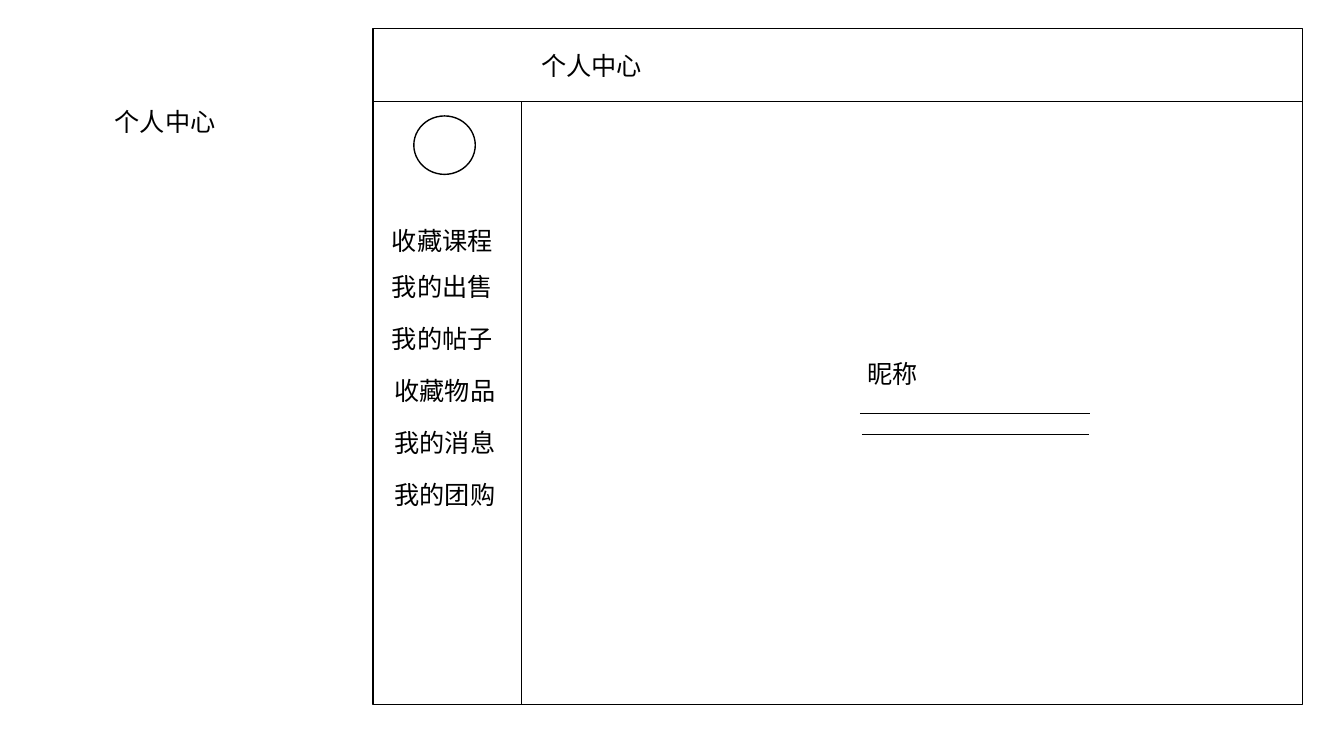
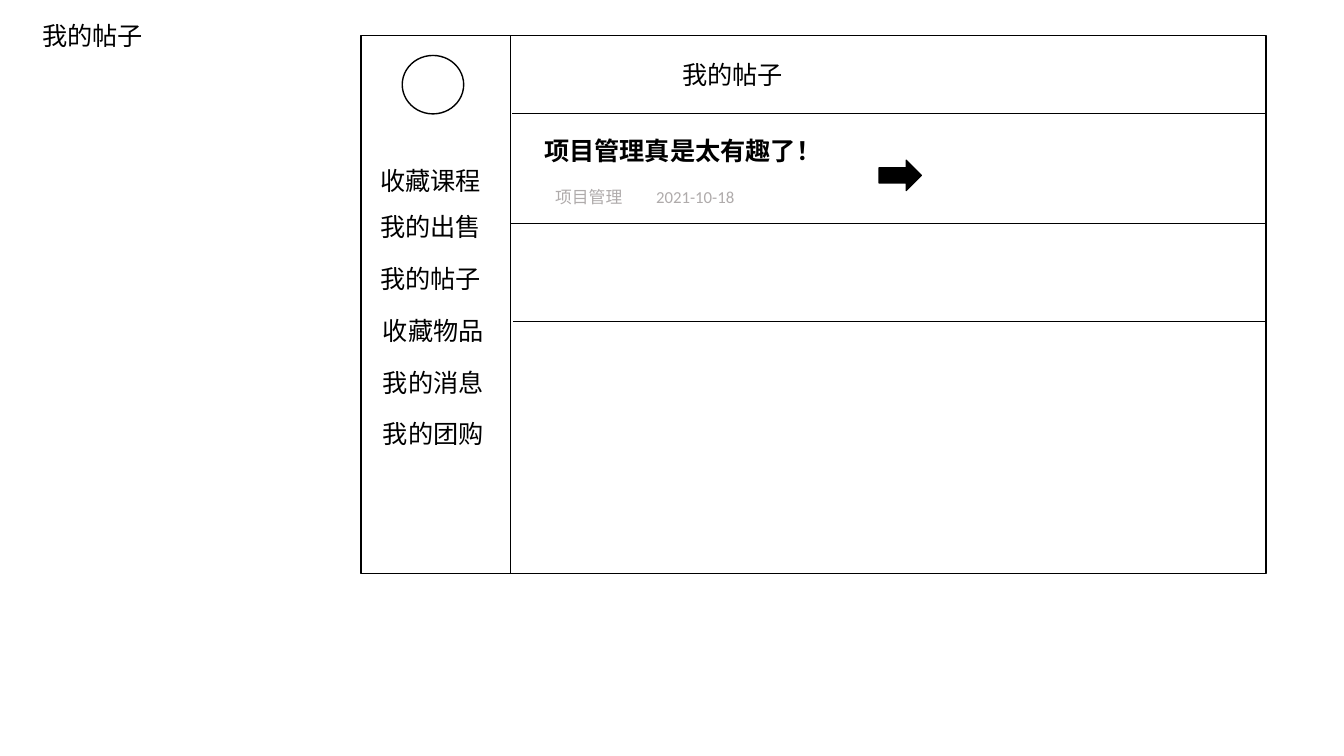
from lxml.etree import SubElement
from pptx import Presentation
from pptx.dml.color import RGBColor
from pptx.enum.shapes import MSO_CONNECTOR as Connector, MSO_SHAPE as Shape
from pptx.enum.text import MSO_AUTO_SIZE as AutoSize
from pptx.oxml.ns import qn
from pptx.util import Inches, Pt

# Grid: square cells, 133.33 columns by 75 rows
CELL = Inches(0.1)
COLUMNS, ROWS = 133.33, 75

# Shared style
BLACK, WHITE, GREY = "000000", "FFFFFF", "AFABAB"
BODY = {"name": "Calibri", "size": Pt(18), "bold": False}
HEADLINE = {**BODY, "bold": True}
DETAIL = {**BODY, "size": Pt(12)}
OUTLINE, RULE = Pt(1), Pt(0.5)
TEXT_ROWS = 4

# Sidebar menu: label, indent in columns, width in columns
MENU = [
    ("收藏课程", 0, 12.1),
    ("我的出售", 0, 12.1),
    ("我的帖子", 0, 12.1),
    ("收藏物品", 0.25, 12.1),
    ("我的消息 ", 0.25, 12.7),
    ("我的团购", 0.25, 12.1),
]
MENU_FIRST, MENU_SECOND, MENU_STEP = 10.4, 14.95, 5.15


def cells(*counts):
    return [round(count * CELL) for count in counts]


def color(code):
    return RGBColor.from_string(code)


def add_text(shapes, text, left, top, width, height=TEXT_ROWS,
             style=BODY, ink=BLACK, wrap=True):
    box = shapes.add_textbox(*cells(left, top, width, height))
    frame = box.text_frame
    frame.word_wrap = wrap
    frame.auto_size = AutoSize.SHAPE_TO_FIT_TEXT
    span = frame.paragraphs[0].add_run()
    span.text = text
    for name, value in style.items():
        setattr(span.font, name, value)
    span.font.color.rgb = color(ink)


def add_outlined(shapes, kind, left, top, width, height, fill=None):
    shape = shapes.add_shape(kind, *cells(left, top, width, height))
    shape.shadow.inherit = False
    if fill:
        shape.fill.solid()
        shape.fill.fore_color.rgb = color(fill)
    else:
        shape.fill.background()
    shape.line.color.rgb = color(BLACK)
    shape.line.width = OUTLINE


def add_rule(shapes, start_x, start_y, end_x, end_y):
    rule = shapes.add_connector(
        Connector.STRAIGHT, *cells(start_x, start_y, end_x, end_y))
    rule.line.color.rgb = color(BLACK)
    rule.line.width = RULE
    SubElement(rule._element.spPr, qn("a:effectLst"))


def add_sidebar(page, left, top):
    """Avatar circle above the menu, kept together as a group."""
    shapes = page.shapes.add_group_shape().shapes
    add_outlined(shapes, Shape.OVAL, left + 3.15, top, 6.1, 5.8, WHITE)
    for index, (label, indent, width) in enumerate(MENU):
        drop = MENU_SECOND + (index - 1) * MENU_STEP if index else MENU_FIRST
        add_text(shapes, label, left + indent, top + drop, width, wrap=False)


def build_profile(page):
    shapes = page.shapes
    left, top, width, height = 37, 2.8, 92.2, 67.1
    right, bottom, header, divider = left + width, top + height, 10.1, 51.7

    # Window with header
    add_text(shapes, "个人中心", 10.4, 10.1, 19.1)
    add_outlined(shapes, Shape.RECTANGLE, left, top, width, height)
    add_rule(shapes, left, header, right, header)
    add_text(shapes, "个人中心", 52.7, 4.5, 13)

    # Nickname field
    add_text(shapes, "昵称", 85.1, 35.1, 8.9)
    add_rule(shapes, 85.3, 41, 108.1, 41)
    add_rule(shapes, 85.5, 43.1, 108, 43.1)

    add_sidebar(page, 37.9, 11.5)
    add_rule(shapes, divider, header, divider, bottom)


def build_posts(page):
    shapes = page.shapes
    left, top, width, height = 35.8, 3.5, 89.8, 53.4
    right, bottom, divider = left + width, top + height, 50.6

    # Window with header and post rows
    add_text(shapes, "我的帖子", 3.2, 1.5, 13.8)
    add_outlined(shapes, Shape.RECTANGLE, left, top, width, height, WHITE)
    add_text(shapes, "我的帖子", 66.7, 5.4, 16.1)
    for inset, row in [(0.2, 11.2), (0, 22.2), (0.3, 31.9)]:
        add_rule(shapes, divider + inset, row, right, row)

    # First post
    add_text(shapes, "项目管理真是太有趣了！", 53, 12.9, 27.3, style=HEADLINE)
    add_text(shapes, "项目管理\t2021-10-18", 54.1, 18, 23, 3, DETAIL, GREY)
    add_outlined(shapes, Shape.RIGHT_ARROW, 87.2, 15.9, 4.2, 3, BLACK)

    add_rule(shapes, divider, top, divider, bottom)
    add_sidebar(page, 36.75, 5.5)


def main():
    deck = Presentation()
    deck.slide_width, deck.slide_height = cells(COLUMNS, ROWS)
    blank = deck.slide_layouts[6]
    for build in (build_profile, build_posts):
        build(deck.slides.add_slide(blank))
    deck.save("out.pptx")


main()
